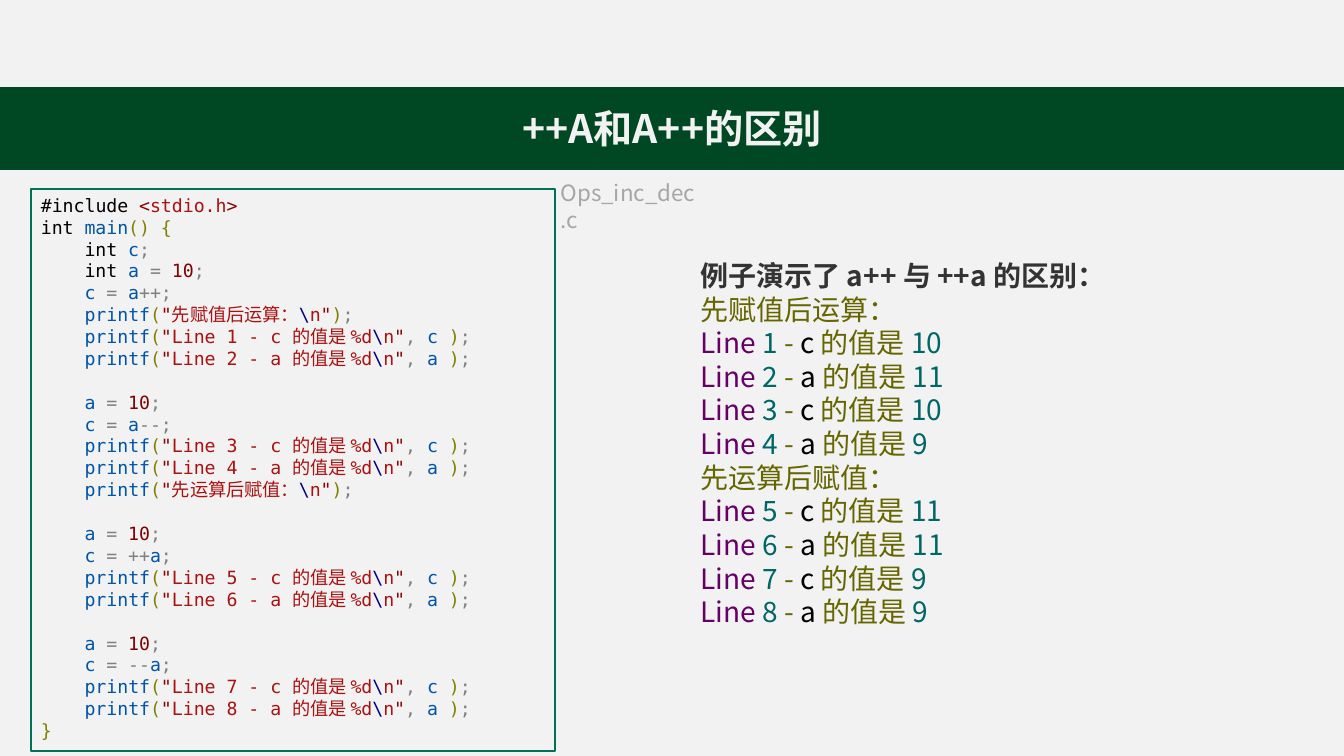
"""Build a slide on the difference between ++a and a++ in C."""
from lxml.etree import SubElement as Sub
from pptx import Presentation
from pptx.dml.color import RGBColor as RGB
from pptx.enum.shapes import MSO_SHAPE as Shape
from pptx.enum.text import MSO_ANCHOR as Anchor, PP_ALIGN as Align
from pptx.oxml.ns import qn
from pptx.util import Cm, Pt

SANS, MONO = "Noto Sans CJK SC", "DejaVu Sans Mono"
PALE, GREEN, TEAL = RGB(0xF2, 0xF2, 0xF2), RGB(0, 0x47, 0x23), RGB(0, 0x70, 0x58)
BLACK, NAVY, GRAY = RGB(0, 0, 0), RGB(0, 0, 0x80), RGB(0x80, 0x80, 0x80)
BLUE, OLIVE, MAROON = RGB(0, 0x55, 0xAA), RGB(0x80, 0x80, 0), RGB(0x80, 0, 0)
QUOTE, RED = RGB(0x8B, 0, 0), RGB(0xAA, 0x11, 0x11)
DARK, MOSS = RGB(0x33, 0x33, 0x33), RGB(0x66, 0x66, 0)
PLUM, CYAN, SILVER = RGB(0x66, 0, 0x66), RGB(0, 0x66, 0x66), RGB(0xA6, 0xA6, 0xA6)

WIDE, HIGH, TOP = 33.87, 19.05, 2.2
TITLE = "++A和A++的区别"
FILE = "Ops_inc_dec.c"
LEAD = "例子演示了 a++ 与 ++a 的区别："
POST, PRE = "先赋值后运算：", "先运算后赋值："
VALUES = [10, 11, 10, 9, 11, 11, 9, 9]
INDENT = ("    ", GRAY)


def let(name):
    return [INDENT, (name, BLUE), (" = ", GRAY), ("10", MAROON), (";", GRAY)]


def step(*parts):
    return [INDENT, ("c", BLUE), *parts]


def say(text, arg=None):
    tail = [(", ", GRAY), (arg + " ", BLUE)] if arg else []
    return [INDENT, ("printf", BLUE), ("(", OLIVE), ('"', QUOTE), (text, RED),
            ("\\", NAVY), ("n", RED), ('"', QUOTE), *tail, (")", OLIVE), (";", GRAY)]


def pair(first):
    return [say(f"Line {first + i} - {name} 的值是 %d", name)
            for i, name in enumerate("ca")]


def result(num):
    return [("Line ", PLUM), (f"{num} ", CYAN), ("-", MOSS),
            (f" {'ac'[num % 2]} ", BLACK), ("的值是 ", MOSS),
            (str(VALUES[num - 1]), CYAN)]


INT = ("int ", BLACK)
CODE = [
    [[("#include ", BLACK), ("<", QUOTE), ("stdio.h", RED), (">", QUOTE)],
     [INT, ("main", BLUE), ("() {", OLIVE)],
     [INDENT, INT, ("c", BLUE), (";", GRAY)],
     [INDENT, INT, *let("a")[1:]],
     step((" = ", GRAY), ("a", BLUE), ("++;", GRAY)),
     say(POST), *pair(1)],
    [let("a"), step((" = ", GRAY), ("a", BLUE), ("--;", GRAY)), *pair(3), say(PRE)],
    [let("a"), step((" = ++", GRAY), ("a", BLUE), (";", GRAY)), *pair(5)],
    [let("a"), step((" = --", GRAY), ("a", BLUE), (";", GRAY)), *pair(7),
     [("}", OLIVE)]],
]
OUTPUT = [[(LEAD, DARK)], [(POST, MOSS)], *map(result, range(1, 5)),
          [(PRE, MOSS)], *map(result, range(5, 9))]


def write(shape, blocks, size, face=SANS, bold=0, align=Align.LEFT, **frame):
    text = shape.text_frame
    for key, value in frame.items():
        setattr(text, key, value)
    count = 0
    for block in blocks:
        for row, runs in enumerate(block):
            para = text.add_paragraph() if count else text.paragraphs[0]
            look = {"alignment": align, "line_spacing": Pt(size * 1.2),
                    "space_before": Pt(size * 1.22 if count and row == 0 else 0)}
            for key, value in look.items():
                setattr(para, key, value)
            for words, color in runs:
                run = para.add_run()
                run.text = words
                font = {"size": Pt(size), "name": face, "bold": count < bold}
                for key, value in font.items():
                    setattr(run.font, key, value)
                run.font.color.rgb = color
                Sub(run.font._element, qn("a:ea"), typeface=SANS)
            count += 1


def panel(slide, place, fill=None, line=None, width=1):
    shape = slide.shapes.add_shape(Shape.RECTANGLE, *map(Cm, place))
    shape.shadow.inherit = False
    for part, color in ((shape.fill, fill), (shape.line.fill, line)):
        if color:
            part.solid()
            part.fore_color.rgb = color
        else:
            part.background()
    if line:
        shape.line.width = Pt(width)
    return shape


def main():
    deck = Presentation()
    deck.slide_width, deck.slide_height = Cm(WIDE), Cm(HIGH)
    slide = deck.slides.add_slide(deck.slide_layouts[6])
    for depth in (HIGH, TOP):
        panel(slide, (0, 0, WIDE, depth), PALE)

    band = panel(slide, (0, TOP, WIDE, 2.06), GREEN, GREEN)
    write(band, [[[(TITLE, PALE)]]], 28, bold=1, align=Align.CENTER,
          vertical_anchor=Anchor.MIDDLE)
    code = panel(slide, (0.78, 4.77, 13.21, 14.15), None, TEAL, 1.5)
    write(code, CODE, 13, MONO, vertical_anchor=Anchor.TOP, word_wrap=True)
    demo = slide.shapes.add_textbox(*map(Cm, (17.4, 6.32, 11.48, 10)))
    write(demo, [OUTPUT], 20, bold=1, vertical_anchor=Anchor.MIDDLE,
          word_wrap=False, margin_bottom=Cm(0.42))
    label = slide.shapes.add_textbox(*map(Cm, (13.88, 4.39, 3.94, 0.94)))
    write(label, [[[(FILE, SILVER)]]], 16, word_wrap=True)
    deck.save("out.pptx")


if __name__ == "__main__":
    main()
